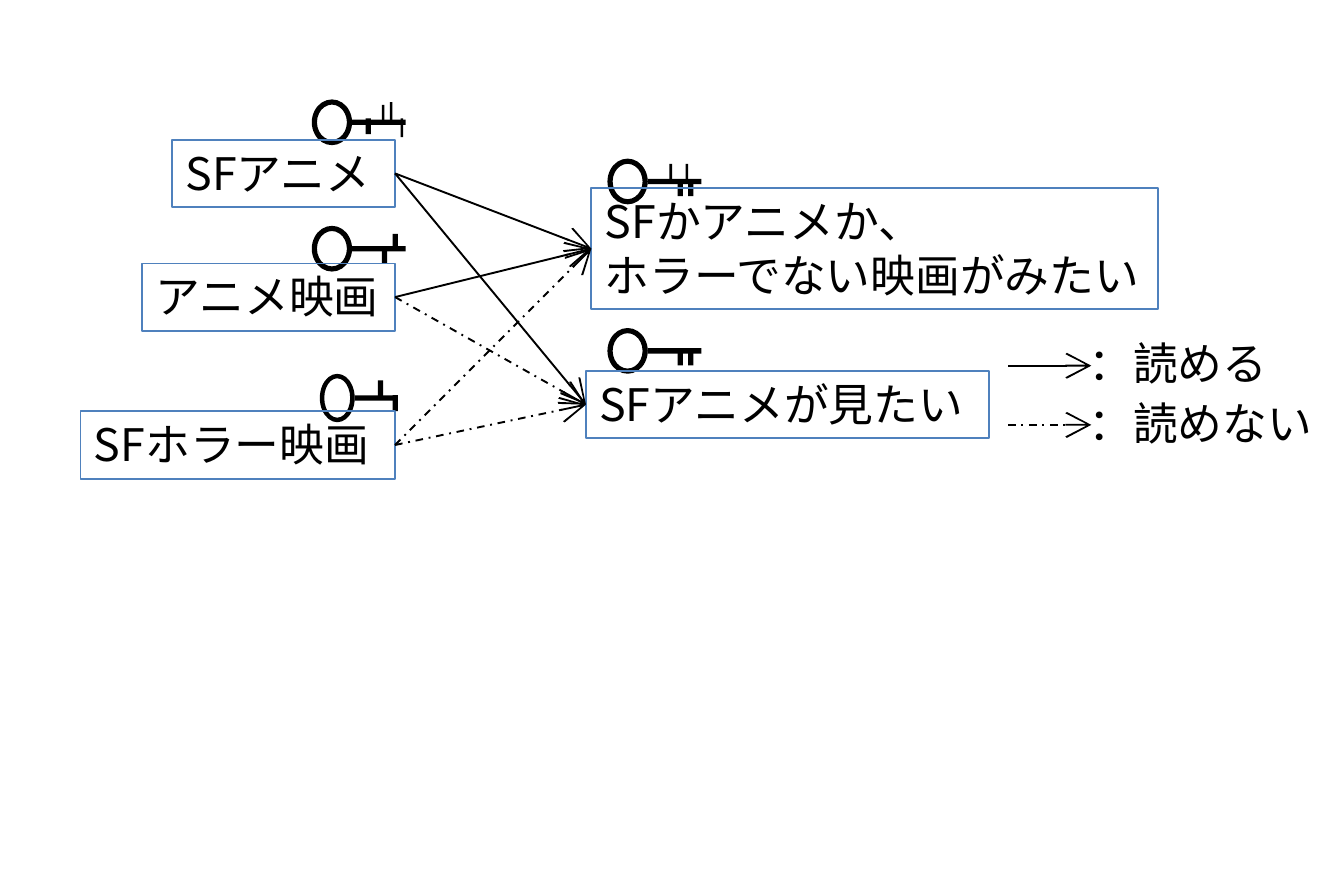
from dataclasses import dataclass

from lxml import etree
from pptx import Presentation
from pptx.dml.color import RGBColor
from pptx.enum import dml, shapes, text
from pptx.oxml import ns
from pptx.shapes.autoshape import Shape
from pptx.shapes.connector import Connector
from pptx.util import Inches, Pt


@dataclass(frozen=True)
class Theme:
    ink: RGBColor = RGBColor(0, 0, 0)
    border: RGBColor = RGBColor(0x4F, 0x81, 0xBD)
    size: float = 12
    line: float = 0.5
    label_font: str = "Noto Sans CJK JP"
    legend_font: str = "Arial"
    bow_ring: float = 0.129


@dataclass(frozen=True)
class Label:
    words: str
    left: float
    top: float
    width: float
    height: float = 0.25


@dataclass(frozen=True)
class Tooth:
    left: float
    top: float
    length: float = 0.06
    thickness: float = 0.02


@dataclass(frozen=True)
class Key:
    left: float
    top: float
    teeth: tuple[Tooth, ...]
    bow_width: float = 0.15
    bow_height: float = 0.17
    shaft: float = 0.2


THEME = Theme()
RIGHT_SIDE, LEFT_SIDE = 3, 1

MOVIES = (
    Label("SFアニメ", 0.64, 0.52, 0.83),
    Label("アニメ映画", 0.53, 0.98, 0.94),
    Label("SFホラー映画", 0.3, 1.53, 1.17),
)
WISHES = (
    Label("SFかアニメか、\nホラーでない映画がみたい", 2.2, 0.7, 2.11, 0.45),
    Label("SFアニメが見たい", 2.18, 1.38, 1.5),
)
READABLE = {(0, 0), (0, 1), (1, 0)}
LEGEND = (
    (Label("：読める", 4, 1.23, 0.77), True),
    (Label("：読めない", 4, 1.45, 0.94), False),
)
LOWER_PAIR = (Tooth(0.24, 0.1), Tooth(0.28, 0.1))
KEYS = (
    Key(2.26, 0.59, LOWER_PAIR + (Tooth(0.26, 0.05, 0.07, 0.01), Tooth(0.2, 0.05, 0.07, 0.01))),
    Key(1.16, 0.84, (Tooth(0.24, 0.1), Tooth(0.28, 0.05))),
    Key(1.16, 0.37, (Tooth(0.18, 0.09), Tooth(0.26, 0.04, 0.07, 0.01),
                     Tooth(0.23, 0.05, 0.07, 0.01), Tooth(0.3, 0.1, 0.07, 0.01))),
    Key(2.26, 1.22, LOWER_PAIR),
    Key(1.19, 1.39, (Tooth(0.25, 0.1), Tooth(0.19, 0.05, 0.07)), 0.13, 0.18, 0.16),
)


def write(shape: Shape, words: str, *, font: str, size: float, color: RGBColor) -> None:
    frame = shape.text_frame
    frame.margin_left = frame.margin_right = Inches(0.05)
    frame.margin_top = frame.margin_bottom = Inches(0.02)
    frame.vertical_anchor = text.MSO_ANCHOR.TOP
    frame.text = words
    frame.word_wrap = False
    frame.auto_size = text.MSO_AUTO_SIZE.SHAPE_TO_FIT_TEXT
    for paragraph in frame.paragraphs:
        paragraph.alignment = text.PP_ALIGN.LEFT
        for run in paragraph.runs:
            run.font.name = font
            run.font.size = Pt(size)
            run.font.color.rgb = color
            east_asian = etree.SubElement(run.font._element, ns.qn("a:ea"))
            east_asian.set("typeface", font)


def draw_label(canvas, label: Label) -> Shape:
    box = canvas.add_shape(
        shapes.MSO_SHAPE.RECTANGLE,
        Inches(label.left), Inches(label.top), Inches(label.width), Inches(label.height),
    )
    box.shadow.inherit = False
    box.fill.background()
    box.line.color.rgb = THEME.border
    box.line.width = Pt(THEME.line)
    write(box, label.words, font=THEME.label_font, size=THEME.size, color=THEME.ink)
    return box


def draw_part(canvas, kind: shapes.MSO_SHAPE, left: float, top: float,
              width: float, height: float) -> Shape:
    part = canvas.add_shape(kind, Inches(left), Inches(top), Inches(width), Inches(height))
    part.shadow.inherit = False
    part.fill.solid()
    part.fill.fore_color.rgb = THEME.ink
    part.line.fill.background()
    return part


def draw_key(canvas, key: Key) -> None:
    group = canvas.add_group_shape().shapes
    bow = draw_part(group, shapes.MSO_SHAPE.DONUT, key.left, key.top, key.bow_width, key.bow_height)
    bow.adjustments[0] = THEME.bow_ring
    draw_part(group, shapes.MSO_SHAPE.RECTANGLE, key.left + key.bow_width,
              key.top + key.bow_height / 2 - 0.01, key.shaft, 0.02)
    for tooth in key.teeth:
        bit = draw_part(group, shapes.MSO_SHAPE.RECTANGLE, key.left + tooth.left,
                        key.top + tooth.top, tooth.length, tooth.thickness)
        bit.rotation = 90


def draw_arrow(canvas, start: tuple[float, float], end: tuple[float, float],
               readable: bool) -> Connector:
    arrow = canvas.add_connector(
        shapes.MSO_CONNECTOR.STRAIGHT, *(Inches(value) for value in start + end))
    arrow.line.color.rgb = THEME.ink
    arrow.line.width = Pt(THEME.line)
    if not readable:
        arrow.line.dash_style = dml.MSO_LINE.DASH_DOT
    properties = arrow._element.spPr
    head = etree.SubElement(properties.find(ns.qn("a:ln")), ns.qn("a:tailEnd"))
    head.set("type", "arrow")
    etree.SubElement(properties, ns.qn("a:effectLst"))
    return arrow


def main() -> None:
    deck = Presentation()
    deck.slide_width, deck.slide_height = Inches(5), Inches(3.25)
    canvas = deck.slides.add_slide(deck.slide_layouts[6]).shapes

    for key in KEYS:
        draw_key(canvas, key)
    movie_boxes = [draw_label(canvas, movie) for movie in MOVIES]
    wish_boxes = [draw_label(canvas, wish) for wish in WISHES]

    for m, movie in enumerate(MOVIES):
        for w, wish in enumerate(WISHES):
            arrow = draw_arrow(
                canvas,
                (movie.left + movie.width, movie.top + movie.height / 2),
                (wish.left, wish.top + wish.height / 2),
                (m, w) in READABLE,
            )
            arrow.begin_connect(movie_boxes[m], RIGHT_SIDE)
            arrow.end_connect(wish_boxes[w], LEFT_SIDE)

    for meaning, readable in LEGEND:
        middle = meaning.top + 0.13
        draw_arrow(canvas, (3.75, middle), (4.06, middle), readable)
        caption = canvas.add_textbox(Inches(meaning.left), Inches(meaning.top),
                                     Inches(meaning.width), Inches(meaning.height))
        write(caption, meaning.words, font=THEME.legend_font, size=THEME.size, color=THEME.ink)

    deck.save("out.pptx")


if __name__ == "__main__":
    main()
